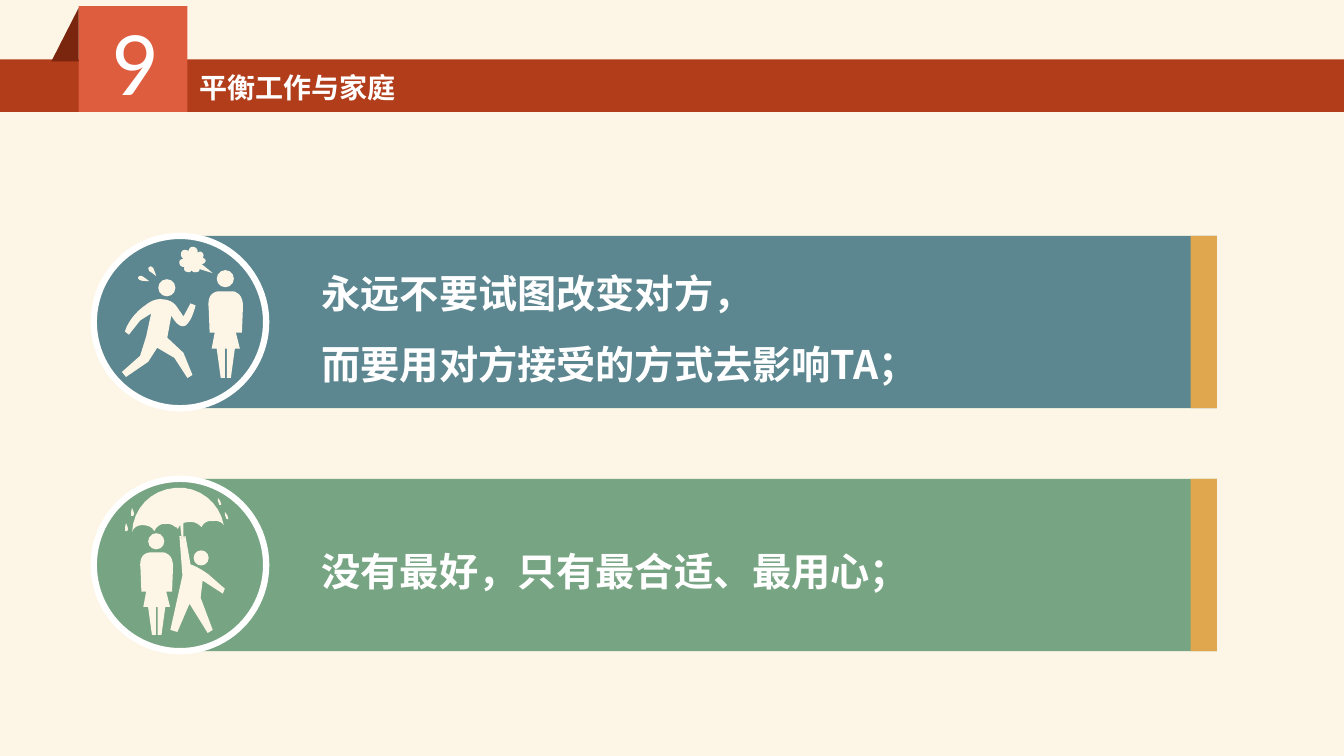
from dataclasses import dataclass

from lxml import etree
from pptx import Presentation
from pptx.dml.color import RGBColor
from pptx.enum.shapes import MSO_SHAPE
from pptx.enum.text import MSO_ANCHOR, MSO_AUTO_SIZE, PP_ALIGN
from pptx.oxml.ns import qn
from pptx.util import Inches, Pt

RECTANGLE, OVAL, TRIANGLE = MSO_SHAPE.RECTANGLE, MSO_SHAPE.OVAL, MSO_SHAPE.RIGHT_TRIANGLE
TOP, FIXED_SIZE = MSO_ANCHOR.TOP, MSO_AUTO_SIZE.NONE
LEFT, CENTER = PP_ALIGN.LEFT, PP_ALIGN.CENTER
TWO_CONTENT_LAYOUT = 3
CURVE_STEPS = 8


@dataclass(frozen=True)
class Theme:
    background: str = "FDF6E6"
    band: str = "B23D1A"
    tab: str = "DF5D3F"
    fold: str = "7A250D"
    teal: str = "5C8790"
    green: str = "77A483"
    accent: str = "E0A74E"
    white: str = "FFFFFF"
    number_font: str = "Calibri"
    text_font: str = "Noto Sans CJK SC"
    number_size: int = 66
    title_size: int = 20
    body_size: int = 28
    ring_width: float = 4.5


# Outlines in inches: a step of two numbers is a line, a step of six is a Bezier curve.
SPEECH_BUBBLE = """2.01,2.56 2.01,2.56,2.03,2.53,2.01,2.51 2.01,2.51,1.99,2.48,1.96,2.51
    1.96,2.51,1.97,2.46,1.92,2.45 1.92,2.45,1.88,2.44,1.87,2.49 1.87,2.49,1.82,2.46,1.8,2.5
    1.8,2.5,1.78,2.54,1.82,2.57 1.82,2.57,1.77,2.57,1.78,2.61 1.78,2.61,1.78,2.65,1.83,2.65
    1.83,2.65,1.81,2.69,1.86,2.7 1.86,2.7,1.89,2.71,1.9,2.68 1.9,2.68,1.91,2.71,1.95,2.7
    1.98,2.7,1.98,2.67,1.98,2.67 2.11,2.71 2,2.62 2,2.62,2.03,2.62,2.04,2.59
    2.04,2.59,2.04,2.56,2.01,2.56"""
RUNNER = """1.82,3.14 1.76,3.05 1.71,2.97,1.62,2.97,1.62,2.97 1.53,2.95,1.44,3.03,1.44,3.03
    1.44,3.03,1.39,3.06,1.33,3.13 1.26,3.21,1.24,3.29,1.24,3.29 1.28,3.32 1.39,3.18 1.5,3.11
    1.45,3.34 1.39,3.53 1.21,3.69 1.25,3.74 1.47,3.59 1.56,3.45 1.73,3.55 1.86,3.75 1.91,3.72
    1.82,3.5 1.66,3.35 1.7,3.13 1.7,3.13,1.77,3.27,1.84,3.23 1.91,3.18,1.94,3.03,1.94,3.03
    1.89,3.01"""
UPPER_SWEAT = """1.48,2.69 1.47,2.67,1.47,2.65,1.48,2.65 1.49,2.64,1.5,2.64,1.52,2.66
    1.53,2.68,1.55,2.74,1.55,2.74 1.55,2.74,1.5,2.7,1.48,2.69"""
LOWER_SWEAT = """1.39,2.78 1.37,2.77,1.37,2.76,1.37,2.75 1.38,2.74,1.39,2.73,1.41,2.74
    1.43,2.75,1.48,2.79,1.48,2.79 1.48,2.79,1.41,2.79,1.39,2.78"""
WOMAN = """2.34,2.9 2.33,2.89,2.31,2.89,2.29,2.89 2.19,2.89 2.17,2.89,2.15,2.89,2.13,2.9
    2.05,2.93,2.07,3.05,2.07,3.05 2.08,3.3 2.13,3.3 2.1,3.46 2.15,3.46 2.19,3.75 2.23,3.75
    2.23,3.46 2.25,3.46 2.25,3.75 2.29,3.75 2.33,3.46 2.38,3.46 2.34,3.3 2.4,3.3 2.41,3.05
    2.41,3.05,2.42,2.93,2.34,2.9"""
UMBRELLA_HOLDER = """2.11,6.25 1.99,5.93 2.01,5.76 2.21,5.89 2.23,5.84
    2.23,5.84,2.17,5.79,2.07,5.7 1.96,5.62,1.89,5.6,1.89,5.6 1.84,5.32 1.83,5.32 1.83,5.34
    1.82,5.34 1.8,5.35 1.8,5.32 1.78,5.32 1.81,5.71 1.69,6.25 1.76,6.27 1.88,5.99 2.06,6.28"""
UMBRELLA_HANDLE = """1.8,5.35 1.82,5.34 1.83,5.34 1.82,5.32 1.82,5.17 1.81,5.14
    1.81,5.14,1.8,5.15,1.8,5.16 1.8,5.15,1.79,5.15,1.78,5.14 1.8,5.32"""
UMBRELLA = """1.76,5.25 1.77,5.24,1.77,5.23,1.78,5.22 1.8,5.19,1.84,5.18,1.87,5.18
    1.93,5.17,1.97,5.2,2,5.23 2.01,5.2,2.05,5.16,2.11,5.17 2.16,5.16,2.2,5.18,2.22,5.21
    2.18,4.99,1.98,4.82,1.74,4.84 1.49,4.86,1.32,5.05,1.31,5.28 1.32,5.24,1.36,5.21,1.41,5.21
    1.47,5.21,1.51,5.23,1.53,5.27 1.55,5.23,1.59,5.19,1.64,5.2 1.68,5.19,1.72,5.21,1.74,5.23
    1.76,5.23,1.76,5.24,1.76,5.25"""
LEFT_DROP = """1.33,5.1 1.33,5.11,1.32,5.12,1.31,5.12 1.3,5.12,1.3,5.11,1.3,5.09
    1.3,5.08,1.31,5.04,1.31,5.04 1.31,5.04,1.33,5.08,1.33,5.1"""
RIGHT_DROP = """2.26,5.13 2.27,5.14,2.26,5.15,2.26,5.15 2.25,5.15,2.24,5.15,2.24,5.13
    2.23,5.12,2.23,5.08,2.23,5.08 2.23,5.08,2.26,5.11,2.26,5.13"""


def flatten(outline):
    """Turn an outline into a list of points, sampling its curves."""
    points = []
    for step in outline.split():
        numbers = [float(number) for number in step.split(",")]
        if len(numbers) == 2:
            points.append(tuple(numbers))
            continue
        controls = [points[-1], *zip(numbers[::2], numbers[1::2])]
        for index in range(1, CURVE_STEPS + 1):
            t = index / CURVE_STEPS
            weights = ((1 - t) ** 3, 3 * t * (1 - t) ** 2, 3 * t * t * (1 - t), t ** 3)
            points.append(tuple(sum(weight * control[axis]
                                    for weight, control in zip(weights, controls))
                                for axis in (0, 1)))
    return points


class SlideBuilder:
    def __init__(self, slide, theme):
        self.slide, self.theme = slide, theme
        slide.background.fill.solid()
        slide.background.fill.fore_color.rgb = RGBColor.from_string(theme.background)

    def paint(self, shape, color, ring=False):
        shape.shadow.inherit = False
        shape.fill.solid()
        shape.fill.fore_color.rgb = RGBColor.from_string(color)
        if ring:
            shape.line.color.rgb = RGBColor.from_string(self.theme.white)
            shape.line.width = Pt(self.theme.ring_width)
        else:
            shape.line.fill.background()
        return shape

    def preset(self, kind, left, top, width, height, color, ring=False):
        box = (Inches(value) for value in (left, top, width, height))
        return self.paint(self.slide.shapes.add_shape(kind, *box), color, ring)

    def figure(self, outline, start=None, scale=1):
        """Draw an outline, optionally scaled and with its first point moved to start."""
        points = flatten(outline)
        origin = points[0]
        start = start or origin
        placed = [tuple(Inches(start[axis] + (point[axis] - origin[axis]) * scale)
                        for axis in (0, 1)) for point in points]
        builder = self.slide.shapes.build_freeform(*placed[0], scale=1.0)
        builder.add_line_segments(placed[1:], close=True)
        self.paint(builder.convert_to_shape(), self.theme.background)

    def head(self, left, top, size):
        self.preset(OVAL, left, top, size, size, self.theme.background)

    def text(self, shape, box, lines, size, font_name, bold=True, wrap=False,
             alignment=LEFT, line_spacing=1.0):
        """Place a text shape in front of everything drawn so far and fill it."""
        shape.element.getparent().append(shape.element)
        for name, value in zip(("left", "top", "width", "height"), box):
            setattr(shape, name, Inches(value))
        frame = shape.text_frame
        frame.text = "\n".join(lines)
        frame_format = {"word_wrap": wrap, "auto_size": FIXED_SIZE, "vertical_anchor": TOP,
                        "margin_left": Inches(0.1), "margin_right": Inches(0.1),
                        "margin_top": Inches(0.05), "margin_bottom": Inches(0.05)}
        paragraph_format = {"alignment": alignment, "line_spacing": line_spacing,
                            "space_before": Pt(0), "space_after": Pt(0)}
        font_format = {"name": font_name, "size": Pt(size), "bold": bold}
        targets = [(frame, frame_format)]
        for paragraph in frame.paragraphs:
            properties = paragraph._p.get_or_add_pPr()
            properties.set("marL", "0")
            properties.set("indent", "0")
            etree.SubElement(properties, qn("a:buNone"))
            font = paragraph.runs[0].font
            targets += [(paragraph, paragraph_format), (font, font_format)]
            font.color.rgb = RGBColor.from_string(self.theme.white)
        for target, values in targets:
            for name, value in values.items():
                setattr(target, name, value)
        for paragraph in frame.paragraphs:
            east_asian = etree.SubElement(paragraph.runs[0]._r.rPr, qn("a:ea"))
            east_asian.set("typeface", font_name)

    def header(self, number, title):
        theme = self.theme
        self.preset(RECTANGLE, 0, 0.59, 13.33, 0.52, theme.band)
        self.preset(RECTANGLE, 0.78, 0.06, 1.08, 1.05, theme.tab)
        fold = self.preset(TRIANGLE, 0.51, 0.08, 0.27, 0.53, theme.fold)
        fold.element.spPr.find(qn("a:xfrm")).set("flipH", "1")
        number_box = self.slide.shapes.add_textbox(0, 0, 0, 0)
        self.text(number_box, (0.97, -0.02, 0.71, 1.21), [number], theme.number_size,
                  theme.number_font, bold=False, alignment=CENTER)
        self.text(self.slide.shapes.title, (1.88, 0.65, 2.17, 0.44), [title],
                  theme.title_size, theme.text_font)

    def card(self, top, color, placeholder, text_box, lines):
        theme, height = self.theme, 1.71
        self.preset(RECTANGLE, 1.86, top, 10.21, height, color)
        self.preset(RECTANGLE, 11.81, top, 0.26, height, theme.accent)
        self.preset(OVAL, 0.93, top, height, height, color, ring=True)
        self.text(placeholder, text_box, lines, theme.body_size, theme.text_font,
                  wrap=True, line_spacing=1.5)


def main():
    presentation = Presentation()
    presentation.slide_width, presentation.slide_height = Inches(13.33), Inches(7.5)
    slide = presentation.slides.add_slide(presentation.slide_layouts[TWO_CONTENT_LAYOUT])
    theme = Theme()
    builder = SlideBuilder(slide, theme)
    first_body, second_body = slide.placeholders[1], slide.placeholders[2]

    builder.header("9", "平衡工作与家庭")
    builder.card(2.34, theme.teal, first_body, (3.09, 2.39, 10.37, 1.51),
                 ["永远不要试图改变对方，", "而要用对方接受的方式去影响TA；"])
    builder.card(4.75, theme.green, second_body, (3.09, 5.15, 8.7, 0.81),
                 ["没有最好，只有最合适、最用心；"])

    for outline in (SPEECH_BUBBLE, RUNNER, UPPER_SWEAT, LOWER_SWEAT, WOMAN,
                    UMBRELLA_HOLDER, UMBRELLA_HANDLE, UMBRELLA, LEFT_DROP, RIGHT_DROP):
        builder.figure(outline)
    builder.figure(WOMAN, start=(1.65, 5.49), scale=0.95)
    builder.figure(LEFT_DROP, start=(1.27, 5.25))
    builder.figure(RIGHT_DROP, start=(2.19, 4.99))
    for head in ((1.57, 2.77, 0.17), (2.15, 2.68, 0.17), (1.92, 5.46, 0.15), (1.47, 5.29, 0.16)):
        builder.head(*head)
    presentation.save("out.pptx")


if __name__ == "__main__":
    main()
